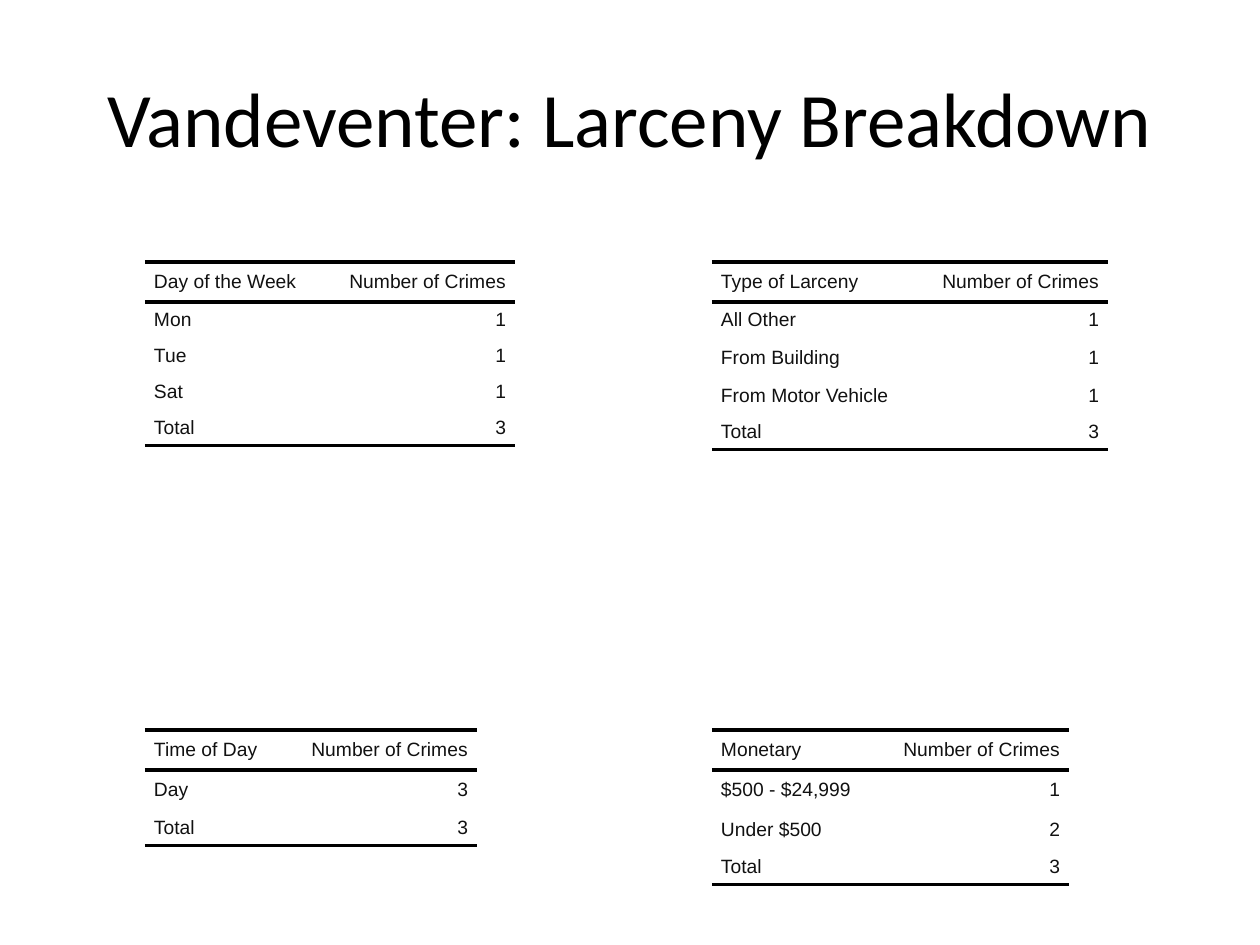
from dataclasses import dataclass

import pptx
import pptx.dml.color
import pptx.enum.text
import pptx.oxml
import pptx.oxml.ns
import pptx.util

EMU_PER_PX = 914400 / 126
COLORS = {"title": "000000", "rule": "000000", "text": "111111"}
COUNT_WIDTH = 192
HEADER_HEIGHT = 40
CELL_INDENT = 9
LEFT_COLUMN, RIGHT_COLUMN = 145, 712
TOP_ROW, BOTTOM_ROW = 262, 730
ALIGN = pptx.enum.text.PP_ALIGN
MIDDLE = pptx.enum.text.MSO_ANCHOR.MIDDLE


@dataclass(frozen=True)
class Entry:
    label: str
    count: str
    height: int = 36


@dataclass(frozen=True)
class Breakdown:
    left: int
    top: int
    label_width: int
    heading: str
    entries: tuple[Entry, ...]


BREAKDOWNS = (
    Breakdown(LEFT_COLUMN, TOP_ROW, 178, "Day of the Week", (
        Entry("Mon", "1"), Entry("Tue", "1"), Entry("Sat", "1"), Entry("Total", "3"))),
    Breakdown(LEFT_COLUMN, BOTTOM_ROW, 140, "Time of Day", (
        Entry("Day", "3", 40), Entry("Total", "3"))),
    Breakdown(RIGHT_COLUMN, TOP_ROW, 204, "Type of Larceny", (
        Entry("All Other", "1"), Entry("From Building", "1", 40),
        Entry("From Motor Vehicle", "1"), Entry("Total", "3"))),
    Breakdown(RIGHT_COLUMN, BOTTOM_ROW, 165, "Monetary", (
        Entry("$500 - $24,999", "1", 40), Entry("Under $500", "2", 39),
        Entry("Total", "3"))),
)


def px(length: int) -> pptx.util.Emu:
    return pptx.util.Emu(round(length * EMU_PER_PX))


def set_font(paragraph, name: str, size: int, color: str) -> None:
    paragraph.font.name = name
    paragraph.font.size = pptx.util.Pt(size)
    paragraph.font.color.rgb = pptx.dml.color.RGBColor.from_string(COLORS[color])


def set_borders(cell, ruled_sides: str) -> None:
    """Rule the given sides (letters of LRTB) and clear the others."""
    properties = cell._tc.get_or_add_tcPr()
    namespace = pptx.oxml.ns.nsdecls("a")
    for side in "LRTB":
        if side in ruled_sides:
            width = pptx.util.Pt(2)
            paint = f'<a:solidFill><a:srgbClr val="{COLORS["rule"]}"/></a:solidFill>'
        else:
            width, paint = 0, "<a:noFill/>"
        properties.append(pptx.oxml.parse_xml(
            f'<a:ln{side} {namespace} w="{width}">{paint}</a:ln{side}>'))


def fill_cell(cell, text: str, align: ALIGN, ruled_sides: str) -> None:
    set_borders(cell, ruled_sides)
    cell.fill.background()
    cell.vertical_anchor = MIDDLE
    cell.margin_left = cell.margin_right = cell.margin_top = cell.margin_bottom = 0
    para = cell.text_frame.paragraphs[0]
    para.text = text
    para.alignment = align
    para.space_before = para.space_after = pptx.util.Pt(2)
    for side in ("marL", "marR"):
        para._p.get_or_add_pPr().set(side, str(px(CELL_INDENT)))
    set_font(para, "Arial", 11, "text")


def add_breakdown(page, breakdown: Breakdown) -> None:
    rows = (Entry(breakdown.heading, "Number of Crimes", HEADER_HEIGHT),
            *breakdown.entries)
    widths = (breakdown.label_width, COUNT_WIDTH)
    table = page.shapes.add_table(
        len(rows), len(widths), px(breakdown.left), px(breakdown.top),
        px(sum(widths)), px(sum(row.height for row in rows))).table
    table.first_row = table.horz_banding = False
    for column, width in zip(table.columns, widths):
        column.width = px(width)
    ruled = {0: "TB", 1: "T", len(rows) - 1: "B"}
    for index, row in enumerate(rows):
        table.rows[index].height = px(row.height)
        sides = ruled.get(index, "")
        fill_cell(table.cell(index, 0), row.label, ALIGN.LEFT, sides)
        fill_cell(table.cell(index, 1), row.count, ALIGN.RIGHT, sides)


def add_title(page, text: str) -> None:
    box = page.shapes.add_textbox(px(63), px(38), px(1134), px(157))
    frame = box.text_frame
    frame.word_wrap = True
    frame.vertical_anchor = MIDDLE
    para = frame.paragraphs[0]
    para.text = text
    para.alignment = ALIGN.CENTER
    set_font(para, "Calibri", 44, "title")


def main() -> None:
    deck = pptx.Presentation()
    deck.slide_width, deck.slide_height = px(1260), px(945)
    page = deck.slides.add_slide(deck.slide_layouts[6])
    add_title(page, "Vandeventer: Larceny Breakdown")
    for breakdown in BREAKDOWNS:
        add_breakdown(page, breakdown)
    deck.save("out.pptx")


if __name__ == "__main__":
    main()
